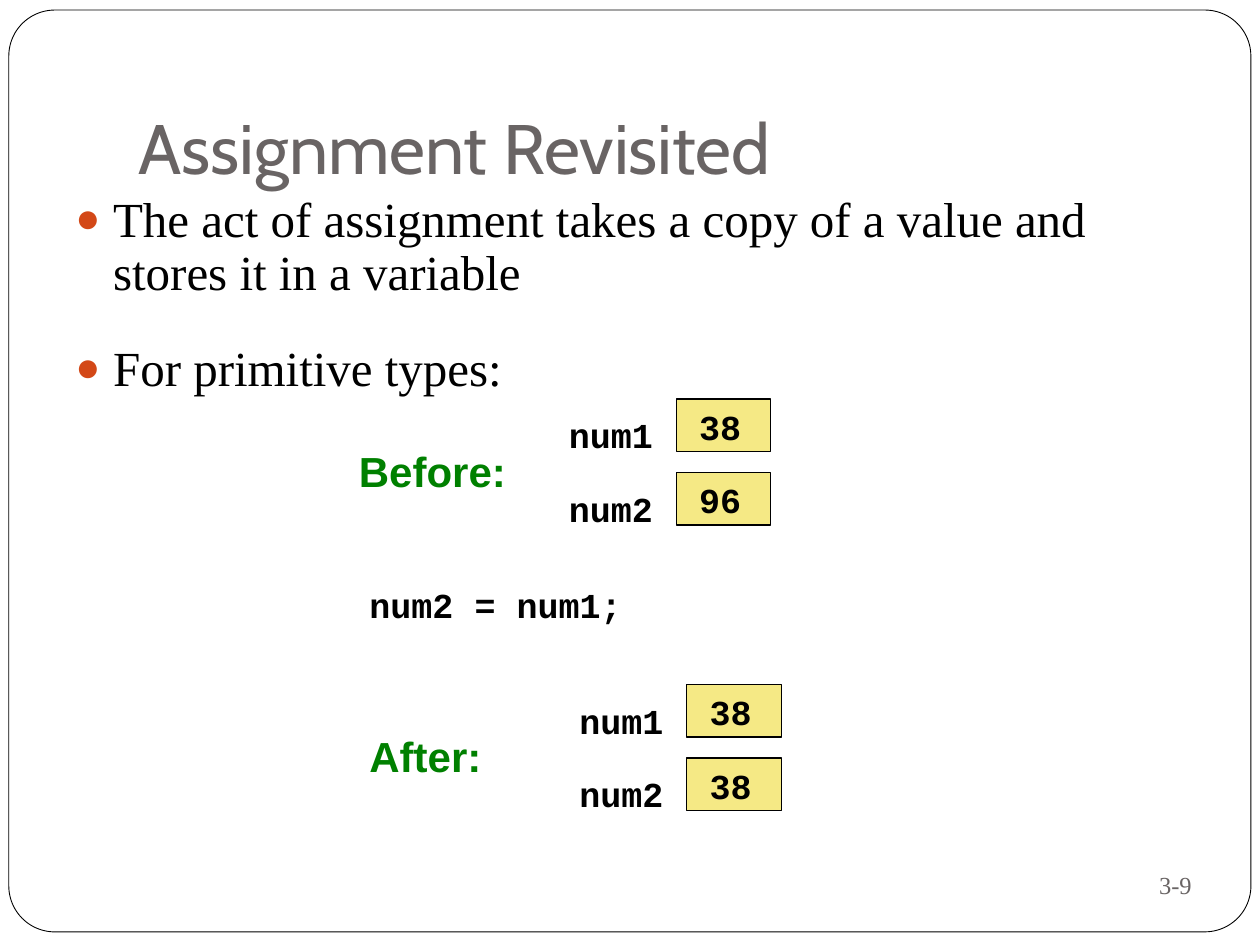
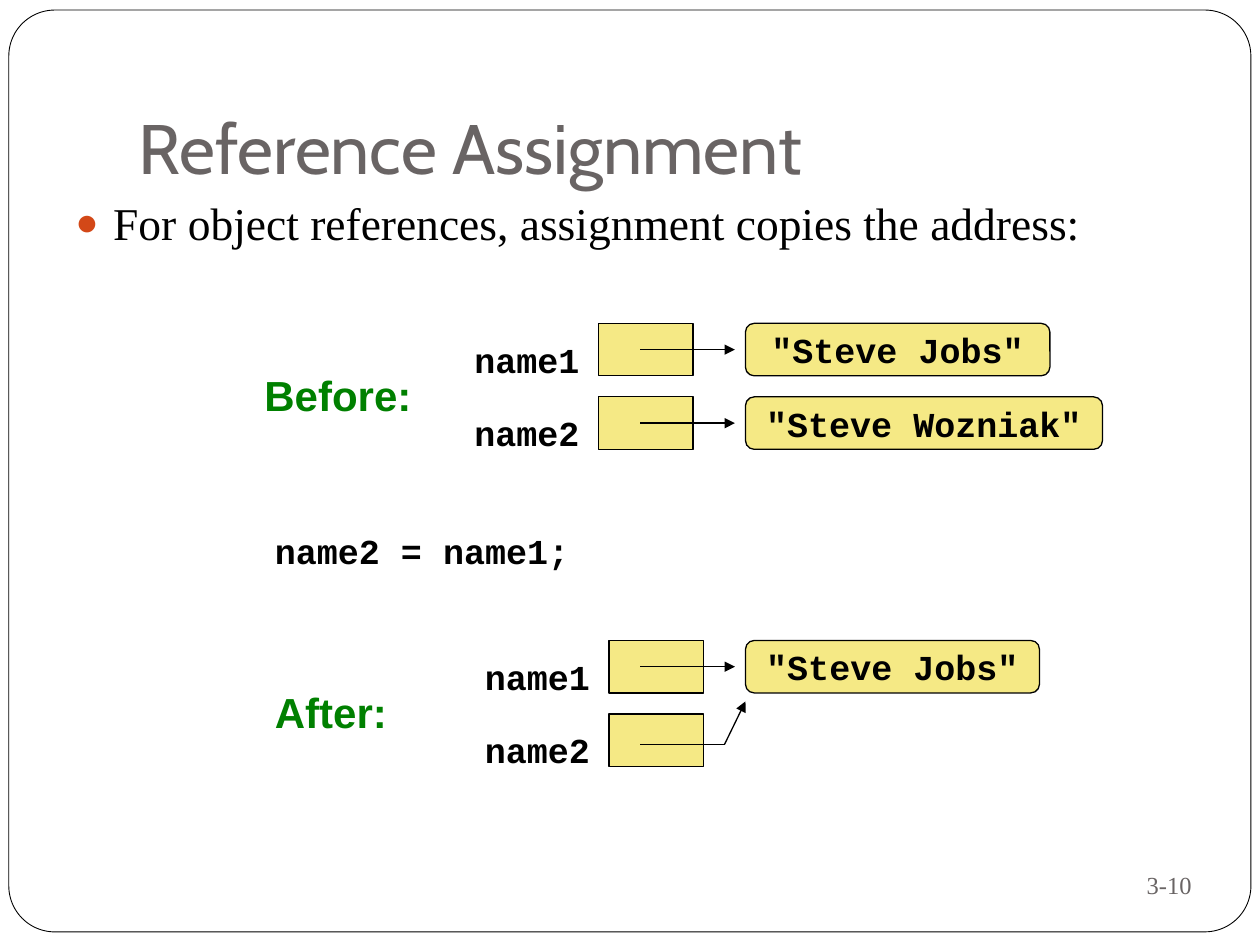
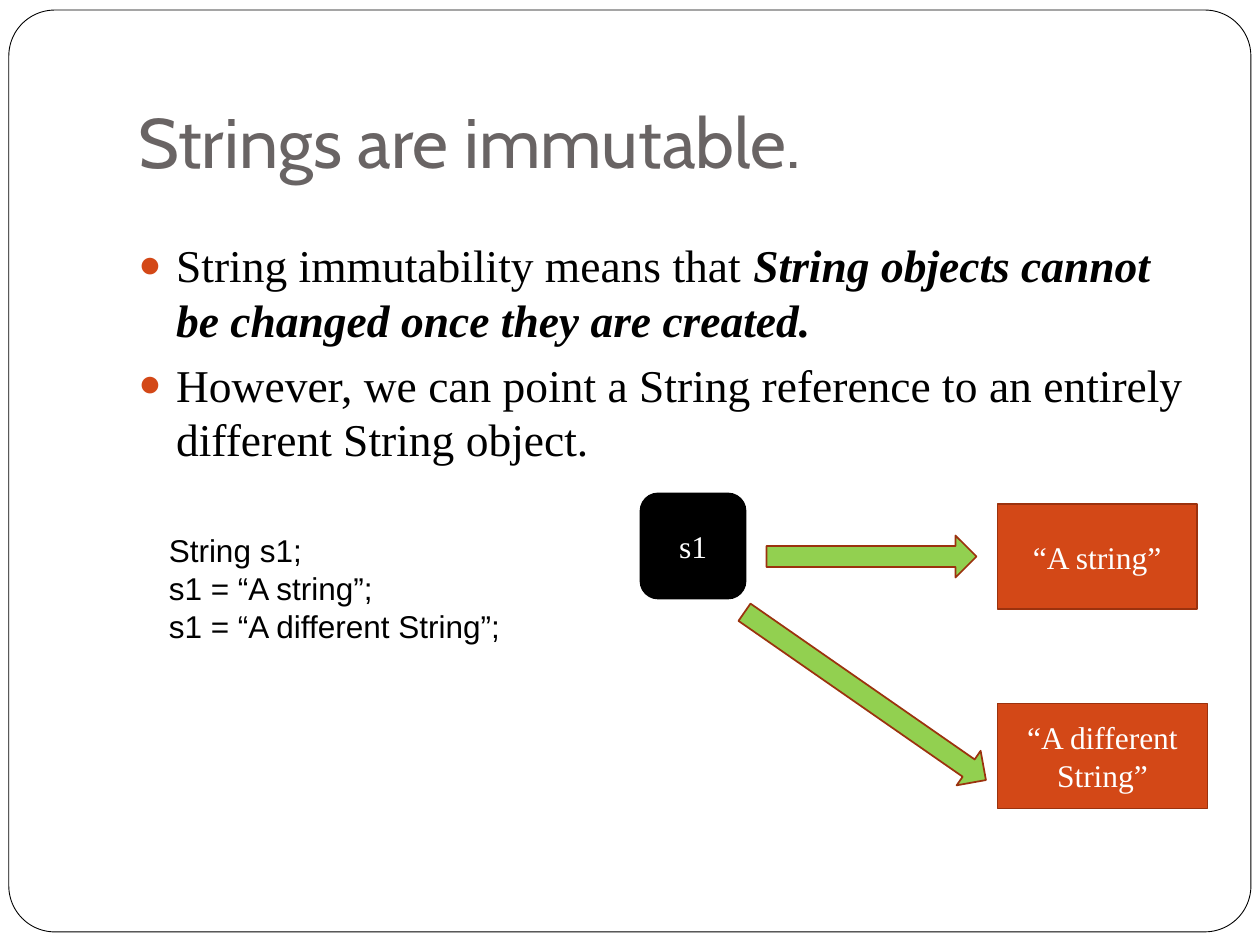
from lxml.etree import SubElement
from pptx import Presentation
from pptx.dml.color import RGBColor
from pptx.enum.shapes import MSO_CONNECTOR as Connector, MSO_SHAPE as Shape
from pptx.enum.text import MSO_ANCHOR as Anchor, MSO_AUTO_SIZE as AutoSize, PP_ALIGN as Align
from pptx.oxml.ns import qn
from pptx.util import Inches, Pt

COLORS = {
    "white": "FFFFFF", "black": "000000", "gray": "696464", "yellow": "F5E985",
    "green": "008000", "lime": "92D050", "orange": "D34817", "rust": "9B320E",
}
COLUMNS, ROWS = 120, 90
ROW_STEP, BOX_WIDTH, BOX_HEIGHT = 7, 9, 5
BODY = "Times New Roman"
CODE = {"name": "Courier New", "size": 20, "bold": True}
CAPTION = {"name": "Arial", "size": 24, "bold": True, "color": "green"}


class Deck:
    """Hold the shared style and draw elements on the current slide."""

    def __init__(self):
        self.presentation = Presentation()
        self.presentation.slide_width = Inches(10)
        self.presentation.slide_height = Inches(7.5)
        self.slide = None

    def x(self, columns):
        return round(self.presentation.slide_width * columns / COLUMNS)

    def y(self, rows):
        return round(self.presentation.slide_height * rows / ROWS)

    def area(self, left, top, width, height):
        return self.x(left), self.y(top), self.x(width), self.y(height)

    def color(self, name):
        return RGBColor.from_string(COLORS[name])

    def style(self, paragraph, name=BODY, size=18, color="black", bold=False, align=Align.LEFT):
        paragraph.alignment = align
        font = paragraph.font
        font.name, font.size, font.bold = name, Pt(size), bold
        font.color.rgb = self.color(color)

    def add_slide(self, title, number=None, bottom_inset=0.05):
        self.slide = self.presentation.slides.add_slide(self.presentation.slide_layouts[5])
        frame = self.shape(Shape.ROUNDED_RECTANGLE, (0.84, 0.96, 118.3, 87.8), "white", "black", 0.5)
        frame.adjustments[0] = 0.05
        self.slide.shapes.element.insert(2, frame.element)
        heading = self.slide.shapes.title
        heading.left, heading.top, heading.width, heading.height = self.area(12, 3.6, 102, 15)
        text_frame = heading.text_frame
        text_frame.text = title
        text_frame.auto_size = AutoSize.NONE
        text_frame.vertical_anchor = Anchor.BOTTOM
        text_frame.margin_bottom = Inches(bottom_inset)
        self.style(text_frame.paragraphs[0], "Cabin", 40, "gray")
        if number:
            footer = self.text((81, 81.2, 32.5, 6.2), number, size=14, color="gray", align=Align.RIGHT)
            footer.word_wrap = True
            footer.auto_size = AutoSize.NONE
            footer.vertical_anchor = Anchor.MIDDLE
            footer.margin_right = 0

    def shape(self, kind, area, fill, line, width=0.75, text="", **font):
        shape = self.slide.shapes.add_shape(kind, *self.area(*area))
        shape.shadow.inherit = False
        shape.fill.solid()
        shape.fill.fore_color.rgb = self.color(fill)
        shape.line.color.rgb = self.color(line)
        shape.line.width = Pt(width)
        if text:
            shape.text_frame.text = text
            shape.text_frame.vertical_anchor = Anchor.MIDDLE
            self.style(shape.text_frame.paragraphs[0], align=Align.CENTER, **font)
        return shape

    def text(self, area, text, **font):
        text_frame = self.slide.shapes.add_textbox(*self.area(*area)).text_frame
        text_frame.word_wrap = False
        text_frame.auto_size = AutoSize.SHAPE_TO_FIT_TEXT
        text_frame.text = text
        for paragraph in text_frame.paragraphs:
            self.style(paragraph, **font)
        return text_frame

    def code(self, left, top, text):
        self.text((left, top, 2 * len(text) + 2.5, 5.25), text, **CODE)

    def bullets(self, area, items, size, before, spacing=1.0):
        text_frame = self.slide.shapes.add_textbox(*self.area(*area)).text_frame
        text_frame.word_wrap = True
        for index, (plain, strong) in enumerate(items):
            paragraph = text_frame.add_paragraph() if index else text_frame.paragraphs[0]
            paragraph.space_before = Pt(before)
            paragraph.line_spacing = spacing
            properties = paragraph._p.get_or_add_pPr()
            properties.set("marL", str(Inches(0.3)))
            properties.set("indent", str(-Inches(0.3)))
            bullet_color = SubElement(properties, qn("a:buClr"))
            SubElement(bullet_color, qn("a:srgbClr"), val=COLORS["orange"])
            SubElement(properties, qn("a:buSzPct"), val="85000")
            SubElement(properties, qn("a:buFont"), typeface=BODY)
            SubElement(properties, qn("a:buChar"), char="●")
            self.style(paragraph, size=size)
            paragraph.add_run().text = plain
            if strong:
                run = paragraph.add_run()
                run.text = strong
                run.font.bold = run.font.italic = True

    def line(self, start, end, arrow=True):
        connector = self.slide.shapes.add_connector(
            Connector.STRAIGHT, self.x(start[0]), self.y(start[1]), self.x(end[0]), self.y(end[1]))
        connector.line.color.rgb = self.color("black")
        connector.line.width = Pt(0.75)
        if arrow:
            SubElement(connector.line._get_or_add_ln(), qn("a:tailEnd"), type="triangle")
        SubElement(connector._element.spPr, qn("a:effectLst"))

    def variables(self, left, top, caption, caption_width, names, box_offset, values=()):
        self.text((left, top + 3.8, caption_width, 6), caption, **CAPTION)
        box_left = left + box_offset
        for index, name in enumerate(names):
            row = top + index * ROW_STEP
            self.shape(Shape.RECTANGLE, (box_left, row, BOX_WIDTH, BOX_HEIGHT), "yellow", "black")
            self.code(left + 20, row + 0.8, name)
            if values:
                self.code(box_left + 1, row, values[index])

    def pointed_object(self, row, width, text):
        self.shape(Shape.ROUNDED_RECTANGLE, (71, row, width, BOX_HEIGHT), "yellow", "black", text=text, **CODE)
        self.line((61, row + 2.5), (70, row + 2.5))


def primitive_slide(deck):
    deck.add_slide("Assignment Revisited", "3-9")
    deck.bullets((6, 18, 109, 20.4), [
        ("The act of assignment takes a copy of a value and stores it in a variable", ""),
        ("For primitive types:", ""),
    ], 28, 24.5, 0.9)
    names = ("num1", "num2")
    deck.variables(33, 38, "Before:", 16.5, names, 31.4, ("38", "96"))
    deck.code(34, 55, "num2 = num1;")
    deck.variables(34, 65.2, "After:", 13.2, names, 31.4, ("38", "38"))


def reference_slide(deck):
    deck.add_slide("Reference Assignment", "3-10")
    deck.bullets((6, 18, 109, 14.6), [("For object references, assignment copies the address:", "")], 26, 26)
    names = ("name1", "name2")
    before, after = 30.8, 61
    deck.code(25, 49.8, "name2 = name1;")
    deck.variables(24, before, "Before:", 16.5, names, 33)
    deck.pointed_object(before, 29, '"Steve Jobs"')
    deck.pointed_object(before + ROW_STEP, 34, '"Steve Wozniak"')
    deck.variables(25, after, "After:", 13.2, names, 33)
    deck.pointed_object(after, 28, '"Steve Jobs"')
    bend = (69, 70.9)
    deck.line(bend, (71, 66.8))
    deck.line(bend, (61, 70.9), arrow=False)


def immutable_slide(deck):
    deck.add_slide("Strings are immutable.", bottom_inset=0.1)
    deck.bullets((12, 22, 102, 58), [
        ("String immutability means that ", "String objects cannot be changed once they are created."),
        ("However, we can point a String reference to an entirely different String object.", ""),
    ], 26, 5.8)
    deck.shape(Shape.ROUNDED_RECTANGLE, (61, 47, 10, 10), "black", "black", 1, "s1", color="white")
    targets = [
        ((95, 48, 19, 10), "“A string”", (73, 51, 20, 4), 0),
        ((95, 67, 20, 10), "“A different String”", (68.4, 64.3, 28, 4), 34.8),
    ]
    for box, text, arrow, rotation in targets:
        deck.shape(Shape.RECTANGLE, box, "orange", "rust", 1, text, color="white")
        deck.shape(Shape.RIGHT_ARROW, arrow, "lime", "rust", 1).rotation = rotation
    deck.text((14.9, 50, 34.1, 12), "String s1;\ns1 = “A string”;\ns1 = “A different String”;", name="Arial")


def main():
    deck = Deck()
    primitive_slide(deck)
    reference_slide(deck)
    immutable_slide(deck)
    deck.presentation.save("out.pptx")


if __name__ == "__main__":
    main()
